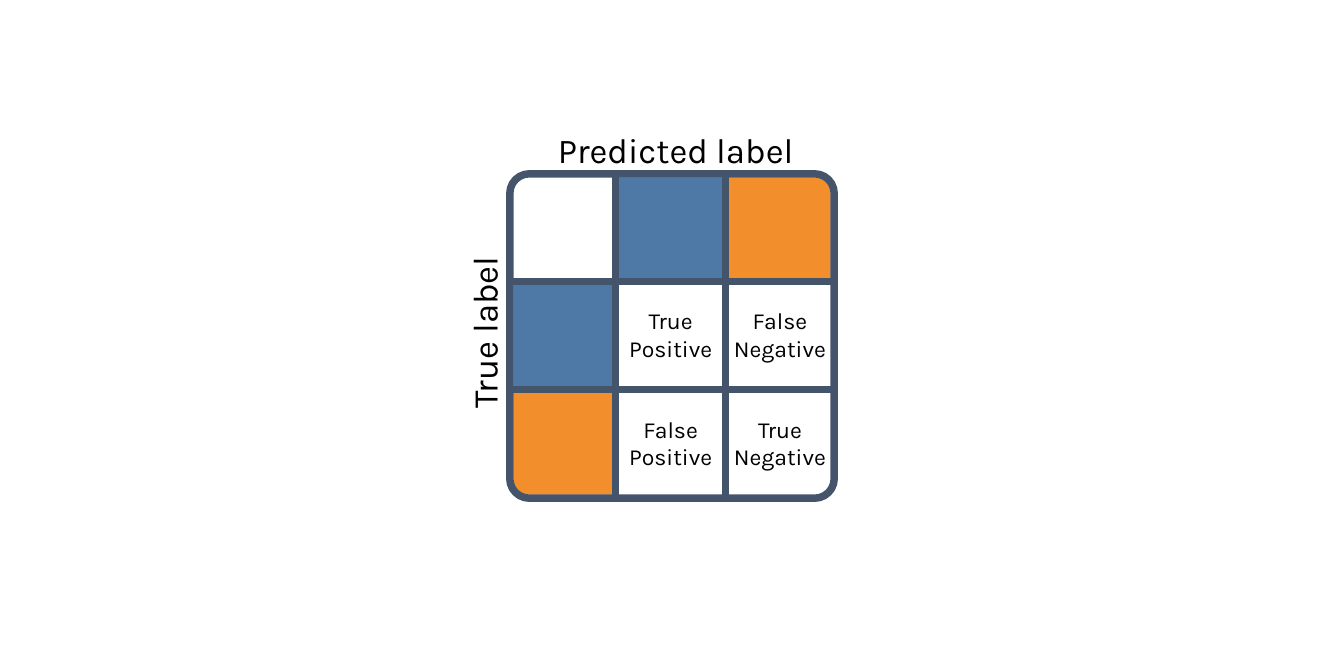
import dataclasses
import itertools

import pptx
import pptx.dml.color
import pptx.enum.shapes
import pptx.enum.text
import pptx.oxml.ns
import pptx.util
from lxml import etree

Inches = pptx.util.Inches
SHAPES = pptx.enum.shapes.MSO_SHAPE


@dataclasses.dataclass(frozen=True)
class Theme:
    font: str = "Karla"
    text: str = "000000"
    border: str = "44546A"
    positive: str = "4E79A7"
    negative: str = "F28E2B"
    axis_size: float = 28
    cell_size: float = 18.5
    border_width: float = 6


def rgb(value):
    return pptx.dml.color.RGBColor.from_string(value)


class MatrixSlide:
    def __init__(self, slide, theme):
        self.shapes = slide.shapes
        self.theme = theme

    def style_border(self, line):
        line.color.rgb = rgb(self.theme.border)
        line.width = pptx.util.Pt(self.theme.border_width)

    def block(self, left, top, right, bottom, color):
        block = self.shapes.add_shape(
            SHAPES.RECTANGLE, Inches(left), Inches(top),
            Inches(right - left), Inches(bottom - top))
        block.shadow.inherit = False
        block.fill.solid()
        block.fill.fore_color.rgb = rgb(color)
        block.line.fill.background()

    def frame(self, left, top, right, bottom):
        frame = self.shapes.add_shape(
            SHAPES.ROUNDED_RECTANGLE, Inches(left), Inches(top),
            Inches(right - left), Inches(bottom - top))
        frame.adjustments[0] = 0.06
        frame.shadow.inherit = False
        frame.fill.background()
        self.style_border(frame.line)

    def divider(self, x1, y1, x2, y2):
        divider = self.shapes.add_connector(
            pptx.enum.shapes.MSO_CONNECTOR.STRAIGHT,
            Inches(x1), Inches(y1), Inches(x2), Inches(y2))
        self.style_border(divider.line)
        etree.SubElement(divider._element.spPr, pptx.oxml.ns.qn("a:effectLst"))

    def label(self, center_x, center_y, width, height, text, size, rotation=0):
        label = self.shapes.add_textbox(
            Inches(center_x - width / 2), Inches(center_y - height / 2),
            Inches(width), Inches(height))
        label.rotation = rotation
        frame = label.text_frame
        frame.word_wrap = True
        frame.auto_size = pptx.enum.text.MSO_AUTO_SIZE.SHAPE_TO_FIT_TEXT
        paragraph = frame.paragraphs[0]
        paragraph.alignment = pptx.enum.text.PP_ALIGN.CENTER
        run = paragraph.add_run()
        run.text = text
        run.font.name = self.theme.font
        run.font.size = pptx.util.Pt(size)
        run.font.color.rgb = rgb(self.theme.text)


def main():
    deck = pptx.Presentation()
    deck.slide_width, deck.slide_height = Inches(15), Inches(7.5)
    theme = Theme()
    matrix = MatrixSlide(deck.slides.add_slide(deck.slide_layouts[6]), theme)

    columns = [5.69, 6.87, 8.1, 9.31]
    rows = [1.94, 3.14, 4.35, 5.56]
    left, right = columns[0], columns[-1]
    top, bottom = rows[0], rows[-1]

    # Header blocks stop short of the frame so its round corners stay clean.
    inset = 0.04
    xs = [left + inset, *columns[1:-1], right - inset]
    ys = [top + inset, *rows[1:-1], bottom - inset]
    for index, color in enumerate([theme.positive, theme.negative], start=1):
        matrix.block(xs[index], ys[0], xs[index + 1], ys[1], color)
        matrix.block(xs[0], ys[index], xs[1], ys[index + 1], color)

    matrix.frame(left, top, right, bottom)
    for x in columns[1:-1]:
        matrix.divider(x, top, x, bottom)
    for y in rows[1:-1]:
        matrix.divider(left, y, right, y)

    outcomes = ["True Positive", "False Negative",
                "False Positive", "True Negative"]
    for (row, column), outcome in zip(itertools.product([1, 2], repeat=2), outcomes):
        matrix.label((columns[column] + columns[column + 1]) / 2,
                     (rows[row] + rows[row + 1]) / 2 - 0.01,
                     1.26, 0.72, outcome, theme.cell_size)

    matrix.label(7.54, 1.67, 3.62, 0.57, "Predicted label", theme.axis_size)
    matrix.label(5.4, 3.71, 3.62, 0.57, "True label", theme.axis_size, rotation=270)

    deck.save("out.pptx")


if __name__ == "__main__":
    main()
